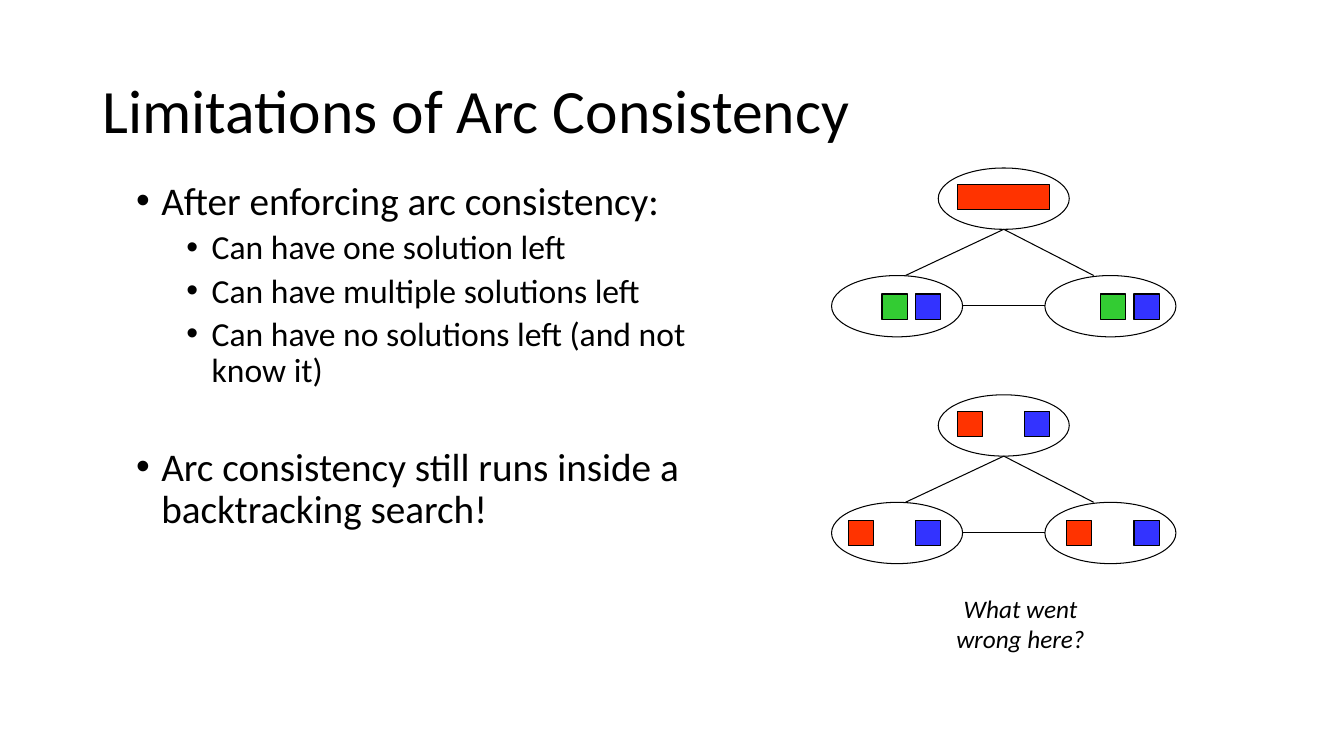
from dataclasses import dataclass

from lxml.etree import SubElement
from pptx import Presentation
from pptx.dml.color import RGBColor as Rgb
from pptx.enum.shapes import MSO_CONNECTOR as Conn, MSO_SHAPE as Kind
from pptx.enum.text import MSO_ANCHOR as Anchor, MSO_AUTO_SIZE as Fit, PP_ALIGN as Align
from pptx.oxml.ns import qn
from pptx.util import Pt

TITLE = "Limitations of Arc Consistency"
# (level, space before in points, text)
POINTS = [
    (0, 0, "After enforcing arc consistency:"),
    (1, 5, "Can have one solution left"),
    (1, 5, "Can have multiple solutions left"),
    (1, 5, "Can have no solutions left (and not know it)"),
    (0, 41, "Arc consistency still runs inside a backtracking search!"),
]
CAPTION = "What went wrong here?"

# Values left in each node, as (slot, slots covered, colour)
GRAPHS = [
    {
        "top": [(0, 3, "red")],
        "left": [(1, 1, "green"), (2, 1, "blue")],
        "right": [(1, 1, "green"), (2, 1, "blue")],
    },
    {node: [(0, 1, "red"), (2, 1, "blue")] for node in ("top", "left", "right")},
]


@dataclass(frozen=True)
class Theme:
    font: str = "Calibri"
    ink: str = "000000"
    red: str = "FF3300"
    green: str = "33CC33"
    blue: str = "3333FF"
    title: int = 44
    body: tuple = (28, 24)
    caption: int = 18
    line: float = 0.75


THEME = Theme()

PX = 7620  # EMU, 120 px to the inch
PAGE = (1600, 900)
TITLE_BOX = (110, 48, 1380, 174)
BODY_BOX = (150, 210, 730, 594)
NOTE_BOX = (1100, 700, 230, 85)
OVAL = (156, 73)
OVALS = {"top": (1117, 200), "left": (990, 328), "right": (1244, 328)}
SLOTS = {"top": (1140, 220), "left": (1010, 350), "right": (1270, 350)}
EDGES = [(1195, 273, 1078, 328), (1195, 273, 1302, 328), (1146, 364, 1244, 364)]
SIDE, STEP = 30, 40
DROP = 270  # from one graph to the next


def emu(*sizes):
    return [size * PX for size in sizes]


def color(name):
    return Rgb.from_string(getattr(THEME, name))


def place(shape, box):
    shape.left, shape.top, shape.width, shape.height = emu(*box)


def write(par, text, size, italic=False):
    run = par.add_run()
    run.text = text
    font = run.font
    font.name, font.size, font.italic = THEME.font, Pt(size), italic
    font.color.rgb = color("ink")


def bullet(par, level):
    props = par._p.get_or_add_pPr()
    props.set("marL", str((30 + 60 * level) * PX))
    props.set("indent", str(-30 * PX))
    SubElement(props, qn("a:buFont"), typeface="Arial")
    SubElement(props, qn("a:buChar"), char="•")


def outline(shape):
    shape.line.color.rgb = color("ink")
    shape.line.width = Pt(THEME.line)


def draw(shapes, kind, box, fill=None):
    shape = shapes.add_shape(kind, *emu(*box))
    shape.shadow.inherit = False
    if fill:
        shape.fill.solid()
        shape.fill.fore_color.rgb = color(fill)
    else:
        shape.fill.background()
    outline(shape)


def join(shapes, ends):
    edge = shapes.add_connector(Conn.STRAIGHT, *emu(*ends))
    outline(edge)
    SubElement(edge._element.spPr, qn("a:effectLst"))


def graph(shapes, values, drop):
    net = shapes.add_group_shape().shapes
    for x, y in OVALS.values():
        draw(net, Kind.OVAL, (x, y + drop, *OVAL))
    for x1, y1, x2, y2 in EDGES:
        join(net, (x1, y1 + drop, x2, y2 + drop))
    for node, marks in values.items():
        x, y = SLOTS[node]
        for slot, span, fill in marks:
            wide = SIDE + (span - 1) * STEP
            draw(shapes, Kind.RECTANGLE, (x + slot * STEP, y + drop, wide, SIDE), fill)


def main():
    deck = Presentation()
    deck.slide_width, deck.slide_height = emu(*PAGE)
    slide = deck.slides.add_slide(deck.slide_layouts[1])
    head, body = slide.placeholders

    place(head, TITLE_BOX)
    frame = head.text_frame
    frame.auto_size, frame.vertical_anchor = Fit.NONE, Anchor.MIDDLE
    par = frame.paragraphs[0]
    par.alignment, par.line_spacing = Align.LEFT, 0.9
    write(par, TITLE, THEME.title)

    place(body, BODY_BOX)
    frame = body.text_frame
    frame.auto_size = Fit.NONE
    for i, (level, gap, text) in enumerate(POINTS):
        par = frame.add_paragraph() if i else frame.paragraphs[0]
        par.level = level
        bullet(par, level)
        par.line_spacing, par.space_before = 0.9, Pt(gap)
        write(par, text, THEME.body[level])

    for i, values in enumerate(GRAPHS):
        graph(slide.shapes, values, i * DROP)

    frame = slide.shapes.add_textbox(*emu(*NOTE_BOX)).text_frame
    frame.word_wrap = True
    par = frame.paragraphs[0]
    par.alignment = Align.CENTER
    write(par, CAPTION, THEME.caption, italic=True)

    deck.save("out.pptx")


if __name__ == "__main__":
    main()
